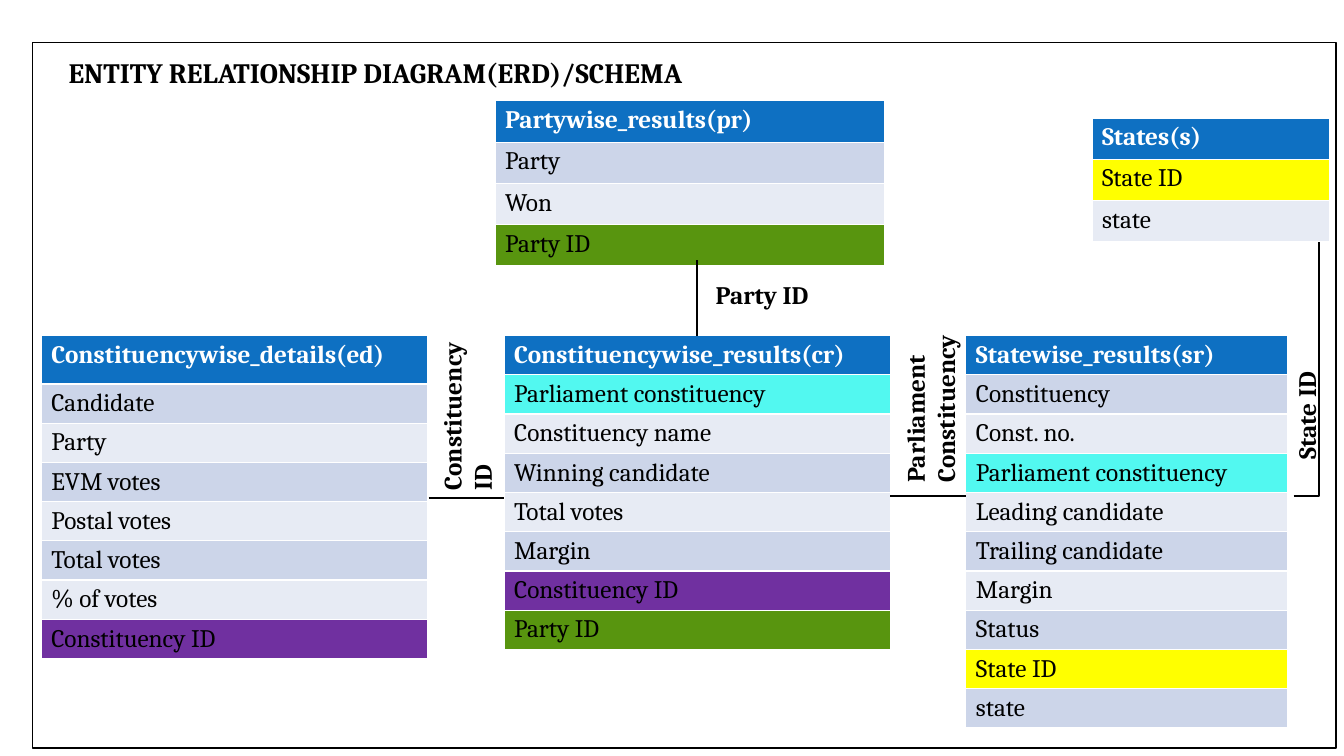
from lxml.etree import SubElement
from pptx import Presentation
from pptx.dml.color import RGBColor
from pptx.enum.shapes import MSO_CONNECTOR, MSO_SHAPE
from pptx.enum.text import MSO_ANCHOR, PP_ALIGN
from pptx.oxml.ns import qn
from pptx.util import Inches, Pt

COLORS = {
    "black": "000000",
    "white": "FFFFFF",
    "header": "0E70C2",
    "band_dark": "CCD5E9",
    "band_light": "E7EBF4",
    "party": "58950F",
    "constituency": "7030A0",
    "parliament": "52F8F0",
    "state": "FFFF00",
}
KEYS = {
    "Party ID": "party",
    "Constituency ID": "constituency",
    "Parliament constituency": "parliament",
    "State ID": "state",
}


class Slide:
    font = "Cambria"
    size = 18

    def __init__(self, prs):
        self.s = prs.slides.add_slide(prs.slide_layouts[5])

    def rgb(self, color):
        return RGBColor.from_string(COLORS[color])

    def style(self, p, color="black", bold=True, size=None):
        p.alignment = PP_ALIGN.LEFT
        p.font.name = self.font
        p.font.size = Pt(size or self.size)
        p.font.bold = bold
        p.font.color.rgb = self.rgb(color)

    def fill_text(self, sp, text, size=None):
        tf = sp.text_frame
        tf.word_wrap = True
        tf.vertical_anchor = MSO_ANCHOR.TOP
        tf.text = text
        self.style(tf.paragraphs[0], size=size)

    def title(self, text, x, y, w, h):
        sp = self.s.shapes.title
        sp.left, sp.top, sp.width, sp.height = map(Inches, (x, y, w, h))
        self.fill_text(sp, text, 20)

    def label(self, text, x, y, w, h, rotation=0):
        sp = self.s.shapes.add_textbox(*map(Inches, (x, y, w, h)))
        sp.rotation = rotation
        self.fill_text(sp, text)

    def entity(self, name, fields, x, y, w, row_h=0.37, header_h=None):
        header_h = header_h or row_h
        h = header_h + row_h * len(fields)
        frame = self.s.shapes.add_table(
            len(fields) + 1, 1, *map(Inches, (x, y, w, h)))
        table = frame.table
        for i, text in enumerate([name] + fields):
            table.rows[i].height = Inches(row_h if i else header_h)
            band = "band_dark" if i % 2 else "band_light"
            cell = table.cell(i, 0)
            cell.text = text
            cell.fill.solid()
            cell.fill.fore_color.rgb = self.rgb(
                KEYS.get(text, band) if i else "header")
            self.style(cell.text_frame.paragraphs[0],
                       "black" if i else "white", bold=i == 0)

    def link(self, x1, y1, x2, y2, elbow=False):
        kind = MSO_CONNECTOR.ELBOW if elbow else MSO_CONNECTOR.STRAIGHT
        c = self.s.shapes.add_connector(kind, *map(Inches, (x1, y1, x2, y2)))
        c.line.color.rgb = self.rgb("black")
        c.line.width = Pt(1.5)
        spPr = c._element.spPr
        SubElement(spPr, qn("a:effectLst"))
        if elbow:
            guides = spPr.find(qn("a:prstGeom")).find(qn("a:avLst"))
            SubElement(guides, qn("a:gd"), name="adj1", fmla="val 100000")

    def border(self, x, y, w, h):
        sp = self.s.shapes.add_shape(
            MSO_SHAPE.RECTANGLE, *map(Inches, (x, y, w, h)))
        sp.shadow.inherit = False
        sp.fill.background()
        sp.line.color.rgb = self.rgb("black")
        sp.line.width = Pt(1)


def main():
    prs = Presentation()
    prs.slide_width, prs.slide_height = Inches(13.33), Inches(7.5)
    s = Slide(prs)

    s.title("ENTITY RELATIONSHIP DIAGRAM(ERD)/SCHEMA", 0.58, 0.5, 9.42, 0.44)

    s.entity("Partywise_results(pr)", ["Party", "Won", "Party ID"],
             4.91, 1, 3.86, row_h=0.41)
    s.entity("Constituencywise_details(ed)",
             ["Candidate", "Party", "EVM votes", "Postal votes",
              "Total votes", "% of votes", "Constituency ID"],
             0.41, 3.33, 3.83, header_h=0.48)
    s.entity("Constituencywise_results(cr)",
             ["Parliament constituency", "Constituency name",
              "Winning candidate", "Total votes", "Margin",
              "Constituency ID", "Party ID"],
             5, 3.33, 3.83)
    s.entity("Statewise_results(sr)",
             ["Constituency", "Const. no.", "Parliament constituency",
              "Leading candidate", "Trailing candidate", "Margin",
              "Status", "State ID", "state"],
             9.58, 3.33, 3.19)
    s.entity("States(s)", ["State ID", "state"], 10.83, 1.17, 2.36, row_h=0.41)

    s.link(6.91, 2.58, 6.91, 3.33)
    s.link(12.83, 4.92, 13.08, 2.4, elbow=True)
    s.link(8.83, 4.92, 9.58, 4.92)
    s.link(4.25, 4.94, 5, 4.94)
    s.border(0.32, 0.42, 12.93, 7)

    s.label("Party ID", 7, 2.72, 1.38, 0.4)
    s.label("Constituency ID", 3.72, 3.69, 1.83, 0.71, rotation=270)
    s.label("Parliament Constituency", 8.29, 3.59, 1.88, 0.71, rotation=270)
    s.label("State ID", 12.24, 3.74, 1.43, 0.4, rotation=270)

    prs.save("out.pptx")


if __name__ == "__main__":
    main()
